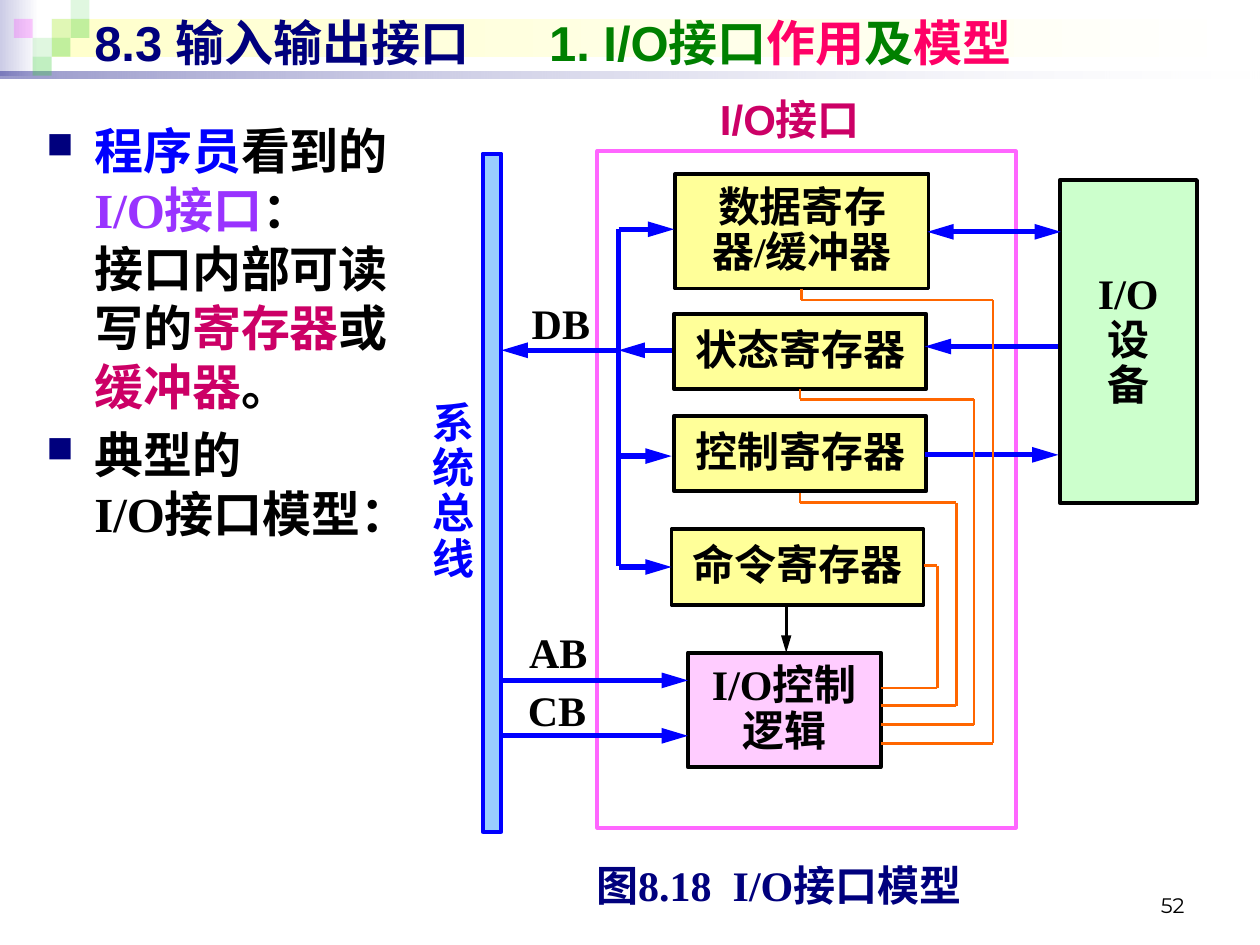
from itertools import pairwise

from lxml import etree
from pptx import Presentation
from pptx.dml.color import RGBColor
from pptx.enum.shapes import MSO_CONNECTOR, MSO_SHAPE
from pptx.enum.text import MSO_ANCHOR, PP_ALIGN
from pptx.oxml.ns import qn
from pptx.util import Inches, Pt

STRAIGHT = MSO_CONNECTOR.STRAIGHT
RECTANGLE = MSO_SHAPE.RECTANGLE
TOP, MIDDLE, BOTTOM = MSO_ANCHOR.TOP, MSO_ANCHOR.MIDDLE, MSO_ANCHOR.BOTTOM
LEFT, CENTER, RIGHT, JUSTIFY = (PP_ALIGN.LEFT, PP_ALIGN.CENTER,
                                PP_ALIGN.RIGHT, PP_ALIGN.JUSTIFY)
SERIF, SANS = "Times New Roman", "Arial"
BLACK, WHITE, NAVY, BLUE = "000000", "FFFFFF", "00007D", "0000FF"
GREEN, ROSE, CRIMSON, PURPLE = "008000", "FF0066", "CC0066", "9933FF"
ORANGE, YELLOW = "FF6600", "FFFF99"

# Header: gradient bands (box, start colour, end colour, opacities)
BANDS = [
    ((0, 0, 0.31, 0.6), "CCCCE6", WHITE, (100, 100)),
    ((0.41, 0.15, 9.55, 0.3), "FFFFCC", WHITE, (100, 100)),
    ((0, 0.57, 10, 0.05), NAVY, WHITE, (40, 10)),
]
# Header: mosaic tiles (column, row, colour, opacity)
TILE = 0.15
TILES = [(2, 1, "33CC33", 15), (3, 0, "33CC33", 15), (3, 1, "33CC33", 30),
         (1, 2, "33CC33", 15), (0, 1, "FF00FF", 20), (2, 2, "33CC33", 30),
         (1, 3, "33CC33", 30)]

TITLE = [("8.3 输入输出接口\t", NAVY), ("1. I/O接口", GREEN), ("作用", ROSE),
         ("及", GREEN), ("模型", ROSE)]
BULLETS = [
    [("程序员", BLUE), ("看到的", BLACK), ("I/O接口", PURPLE),
     ("：\n接口内部可读写的", BLACK), ("寄存器", CRIMSON), ("或", BLACK),
     ("缓冲器", CRIMSON), ("。", BLACK)],
    [("典型的\nI/O接口模型：", BLACK)],
]

# Diagram boxes (box, fill, outline, lines of text)
BOXES = [
    ((5.36, 1.38, 2.01, 0.91), YELLOW, BLACK, ["数据寄存器/缓冲器"]),
    ((8.41, 1.43, 1.09, 2.56), "CCFFCC", BLACK, ["I/O", "设", "备"]),
    ((3.83, 1.22, 0.15, 5.38), "99CCFF", BLUE, []),
    ((4.74, 1.2, 3.32, 5.37), None, "FF66FF", []),
    ((5.35, 2.49, 2, 0.6), YELLOW, BLACK, ["状态寄存器"]),
    ((5.35, 3.3, 2, 0.6), YELLOW, BLACK, ["控制寄存器"]),
    ((5.33, 4.2, 2, 0.6), YELLOW, BLACK, ["命令寄存器"]),
    ((5.46, 5.18, 1.53, 0.91), "FFCCFF", BLACK, ["I/O控制", "逻辑"]),
]
# Diagram labels (box, lines of text, colour, font, alignment)
LABELS = [
    ((3.43, 2.84, 0.4, 2.14), list("系统总线"), BLUE, SERIF, JUSTIFY),
    ((5.65, 0.79, 1.24, 0.36), ["I/O接口"], CRIMSON, SANS, CENTER),
    ((4.37, 6.8, 3.62, 0.49), ["图8.18  I/O接口模型"], NAVY, SERIF, CENTER),
    ((4.22, 2.39, 0.47, 0.4), ["DB"], BLACK, SERIF, JUSTIFY),
    ((4.2, 5, 0.47, 0.4), ["AB"], BLACK, SERIF, JUSTIFY),
    ((4.19, 5.46, 0.47, 0.4), ["CB"], BLACK, SERIF, JUSTIFY),
]

TRUNK_X, BUS_X = 4.91, 3.98
TRUNK = (TRUNK_X, 1.82), (TRUNK_X, 4.49)
# Data flows (start, end)
FLOWS = [
    ((TRUNK_X, 1.82), (5.35, 1.82)),
    ((5.33, 2.78), (TRUNK_X, 2.78)),
    ((TRUNK_X, 2.78), (BUS_X, 2.78)),
    ((TRUNK_X, 3.62), (5.33, 3.62)),
    ((TRUNK_X, 4.5), (5.33, 4.5)),
    ((BUS_X, 5.4), (5.46, 5.4)),
    ((BUS_X, 5.84), (5.46, 5.84)),
    ((8.4, 2.75), (7.34, 2.75)),
    ((7.34, 3.61), (8.4, 3.61)),
]
TWO_WAY = (7.36, 1.84), (8.42, 1.84)
COMMAND = (6.24, 4.81), (6.24, 5.18)
# Control wires, each from a register to the control logic
LOGIC_X = 6.99
WIRES = [
    [(7.33, 4.49), (7.44, 4.49), (7.44, 5.46), (LOGIC_X, 5.46)],
    [(6.35, 3.91), (6.35, 3.99), (7.59, 3.99), (7.59, 5.6), (LOGIC_X, 5.6)],
    [(6.35, 3.09), (6.35, 3.17), (7.73, 3.17), (7.73, 5.75), (LOGIC_X, 5.75)],
    [(6.36, 2.29), (6.36, 2.38), (7.88, 2.38), (7.88, 5.9), (LOGIC_X, 5.9)],
]


def rgb(value):
    return RGBColor.from_string(value)


def add_xml(parent, tag, **attributes):
    return etree.SubElement(parent, qn(tag), attributes)


def set_opacity(shape, percents):
    """Apply one opacity to each colour of the shape, in order."""
    for color, percent in zip(shape._element.iter(qn("a:srgbClr")), percents):
        add_xml(color, "a:alpha", val=str(percent * 1000))


def add_rect(slide, box, fill=None, outline=None):
    rect = slide.shapes.add_shape(RECTANGLE, *map(Inches, box))
    rect.shadow.inherit = False
    if fill:
        rect.fill.solid()
        rect.fill.fore_color.rgb = rgb(fill)
    else:
        rect.fill.background()
    if outline:
        rect.line.color.rgb = rgb(outline)
        rect.line.width = Pt(2.25)
    else:
        rect.line.fill.background()
    return rect


def add_text_box(slide, box, anchor, inset=True):
    frame = slide.shapes.add_textbox(*map(Inches, box)).text_frame
    frame.word_wrap = True
    frame.vertical_anchor = anchor
    if not inset:
        frame.margin_left = frame.margin_right = 0
        frame.margin_top = frame.margin_bottom = 0
    return frame


def write(frame, paragraphs, size, font=SERIF, align=LEFT, spacing=1.0, bold=True):
    """Fill the frame; each paragraph is a list of (text, colour) runs."""
    for index, runs in enumerate(paragraphs):
        paragraph = frame.add_paragraph() if index else frame.paragraphs[0]
        paragraph.alignment = align
        paragraph.line_spacing = spacing
        paragraph.font.name, paragraph.font.size = font, Pt(size)
        paragraph.font.bold = bold
        for text, color in runs:
            for part, piece in enumerate(text.split("\n")):
                if part:
                    paragraph.add_line_break()
                run = paragraph.add_run()
                run.text = piece
                run.font.color.rgb = rgb(color)


def connect(slide, start, end, color, width, head=False, tail=False):
    link = slide.shapes.add_connector(STRAIGHT, *map(Inches, (*start, *end)))
    link.line.color.rgb = rgb(color)
    link.line.width = Pt(width)
    for wanted, tag in ((head, "a:headEnd"), (tail, "a:tailEnd")):
        if wanted:
            add_xml(link.line._get_or_add_ln(), tag, type="triangle", w="med", len="lg")
    add_xml(link._element.spPr, "a:effectLst")


def add_header(slide):
    for box, start, end, opacities in BANDS:
        band = add_rect(slide, box)
        band.fill.gradient()
        band.fill.gradient_angle = 0
        for stop, color in zip(band.fill.gradient_stops, (start, end)):
            stop.color.rgb = rgb(color)
        set_opacity(band, opacities)
    for column, row, color, opacity in TILES:
        box = (0.11 + column * TILE, row * TILE, TILE, TILE)
        set_opacity(add_rect(slide, box, color), [opacity])
    title = add_text_box(slide, (0.65, 0.05, 9, 0.57), MIDDLE)
    write(title, [TITLE], 28, SANS)
    tabs = add_xml(title.paragraphs[0]._p.get_or_add_pPr(), "a:tabLst")
    add_xml(tabs, "a:tab", pos=str(Inches(3.61)), algn="l")
    # Tab stops precede the default run properties in the schema
    tabs.getparent().insert(tabs.getparent().index(
        tabs.getparent().find(qn("a:defRPr"))), tabs)


def add_bullets(slide):
    frame = add_text_box(slide, (0.27, 0.91, 3.07, 6.14), TOP)
    write(frame, BULLETS, 28)
    for paragraph in frame.paragraphs:
        paragraph.space_before = Pt(5.6)
        props = paragraph._p.get_or_add_pPr()
        props.set("marL", str(Inches(0.38)))
        props.set("indent", str(-Inches(0.38)))
        defaults = props.find(qn("a:defRPr"))
        add_xml(add_xml(props, "a:buClr"), "a:srgbClr", val=NAVY)
        add_xml(props, "a:buSzPct", val="75000")
        add_xml(props, "a:buChar", char="■")
        props.append(defaults)


def add_diagram(slide):
    for box, fill, outline, lines in BOXES:
        rect = add_rect(slide, box, fill, outline)
        rect.text_frame.vertical_anchor = MIDDLE
        write(rect.text_frame, [[(line, BLACK)] for line in lines], 24, align=CENTER, spacing=0.9)
    for box, lines, color, font, align in LABELS:
        frame = add_text_box(slide, box, MIDDLE, inset=False)
        write(frame, [[(line, color)] for line in lines], 24, font, align, 0.9)
    connect(slide, *TRUNK, BLUE, 3)
    for start, end in FLOWS:
        connect(slide, start, end, BLUE, 3, tail=True)
    connect(slide, *TWO_WAY, BLUE, 3, head=True, tail=True)
    connect(slide, *COMMAND, BLACK, 1.5, tail=True)
    for wire in WIRES:
        for start, end in pairwise(wire):
            connect(slide, start, end, ORANGE, 1.5)


def main():
    deck = Presentation()
    deck.slide_width, deck.slide_height = Inches(10), Inches(7.5)
    slide = deck.slides.add_slide(deck.slide_layouts[6])
    add_header(slide)
    add_diagram(slide)
    add_bullets(slide)
    number = add_text_box(slide, (7.17, 6.83, 2.33, 0.5), BOTTOM)
    write(number, [[("52", BLACK)]], 12, "Montserrat", RIGHT, bold=False)
    deck.save("out.pptx")


if __name__ == "__main__":
    main()
